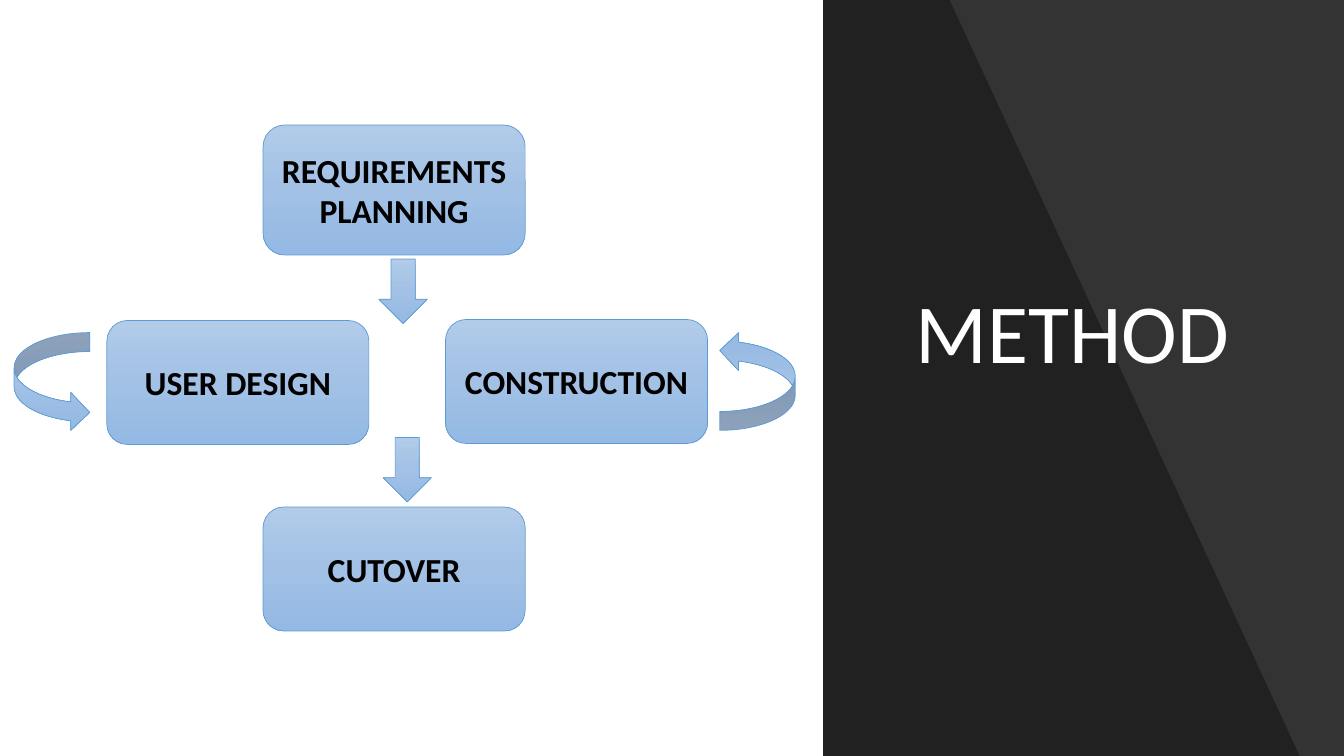
import copy

import pptx
import pptx.dml.color
import pptx.enum.shapes
import pptx.enum.text
import pptx.oxml
import pptx.oxml.ns
import pptx.util

RGBColor = pptx.dml.color.RGBColor
SHAPE = pptx.enum.shapes.MSO_SHAPE
ANCHOR = pptx.enum.text.MSO_ANCHOR
ALIGN = pptx.enum.text.PP_ALIGN
qn = pptx.oxml.ns.qn

BLACK = RGBColor(0x00, 0x00, 0x00)
WHITE = RGBColor(0xFF, 0xFF, 0xFF)
EDGE_BLUE = RGBColor(0x5B, 0x9B, 0xD5)
BLUES = [RGBColor(0xB1, 0xCB, 0xE9), RGBColor(0xA3, 0xC1, 0xE5), RGBColor(0x93, 0xB9, 0xE4)]

deck = pptx.Presentation()
deck.slide_width = pptx.util.Inches(13.33)
deck.slide_height = pptx.util.Inches(7.5)
slide = deck.slides.add_slide(deck.slide_layouts[5])
slide.background.fill.solid()
slide.background.fill.fore_color.rgb = BLACK


def grid(*lengths):
    units = (deck.slide_width / 100, deck.slide_height / 100)
    return [round(length * units[i % 2]) for i, length in enumerate(lengths)]


def paint(shape, color, opacity):
    shape.shadow.inherit = False
    shape.line.fill.background()
    shape.fill.solid()
    shape.fill.fore_color.rgb = color
    if opacity < 100:
        tone = shape._element.spPr.find(qn("a:solidFill"))[0]
        alpha = pptx.oxml.parse_xml(
            '<a:alpha xmlns:a="http://schemas.openxmlformats.org/drawingml/2006/main" '
            f'val="{opacity * 1000}"/>')
        tone.append(alpha)


backdrop = slide.shapes.add_shape(SHAPE.RECTANGLE, *grid(0, 0, 100, 100))
paint(backdrop, WHITE, 100)
panel = slide.shapes.add_shape(SHAPE.RECTANGLE, *grid(61.25, 0, 38.75, 100))
paint(panel, BLACK, 80)
outline = slide.shapes.build_freeform(*grid(61.25, 0))
outline.add_line_segments([grid(70.65, 0), grid(96.7, 100), grid(61.25, 100)], close=True)
paint(outline.convert_to_shape(), BLACK, 35)

heading = slide.shapes.title
slide.shapes._spTree.append(heading._element)
heading.left, heading.top, heading.width, heading.height = grid(67.4, 16.4, 27.15, 34.8)
heading.text_frame.word_wrap = True
heading.text_frame.vertical_anchor = ANCHOR.BOTTOM
heading_line = heading.text_frame.paragraphs[0]
heading_line.alignment = ALIGN.LEFT
heading_line.line_spacing = 0.9
heading_run = heading_line.add_run()
heading_run.text = "METHOD"
heading_run.font.size = pptx.util.Pt(60)
heading_run.font.name = "Calibri"
heading_run.font.color.rgb = WHITE

BOX = (19.5, 16.4)
DOWN = (3.6, 8.53)
LOOP = (5.63, 13.07)
parts = [
    (SHAPE.ROUNDED_RECTANGLE, (19.58, 16.53), (19.5, 17.2), "REQUIREMENTS PLANNING"),
    (SHAPE.ROUNDED_RECTANGLE, (7.95, 42.4), BOX, "USER DESIGN"),
    (SHAPE.ROUNDED_RECTANGLE, (33.15, 42.27), BOX, "CONSTRUCTION"),
    (SHAPE.ROUNDED_RECTANGLE, (19.58, 67.07), BOX, "CUTOVER"),
    (SHAPE.DOWN_ARROW, (28.2, 34.27), DOWN, None),
    (SHAPE.DOWN_ARROW, (28.5, 57.87), DOWN, None),
    (SHAPE.CURVED_RIGHT_ARROW, (1.05, 44.0), LOOP, None),
    (SHAPE.CURVED_LEFT_ARROW, (53.55, 43.87), LOOP, None),
]

cycle = slide.shapes.add_group_shape()
for kind, corner, size, stage in parts:
    part = cycle.shapes.add_shape(kind, *grid(*corner, *size))
    part.shadow.inherit = False
    part.line.color.rgb = EDGE_BLUE
    part.line.width = pptx.util.Pt(0.5)
    part.fill.gradient()
    part.fill.gradient_angle = 270
    stops = part._element.spPr.find(qn("a:gradFill")).find(qn("a:gsLst"))
    stops.append(copy.deepcopy(stops[0]))
    for stop, color, position in zip(part.fill.gradient_stops, BLUES, (0, 0.5, 1)):
        stop.color.rgb = color
        stop.position = position
    if kind == SHAPE.CURVED_LEFT_ARROW:
        part._element.spPr.find(qn("a:xfrm")).set("flipV", "1")
    if stage:
        part.text_frame.word_wrap = True
        part.text_frame.vertical_anchor = ANCHOR.MIDDLE
        stage_line = part.text_frame.paragraphs[0]
        stage_line.alignment = ALIGN.CENTER
        stage_run = stage_line.add_run()
        stage_run.text = stage
        stage_run.font.size = pptx.util.Pt(24)
        stage_run.font.name = "Calibri"
        stage_run.font.bold = True
        stage_run.font.color.rgb = BLACK

deck.save("out.pptx")
